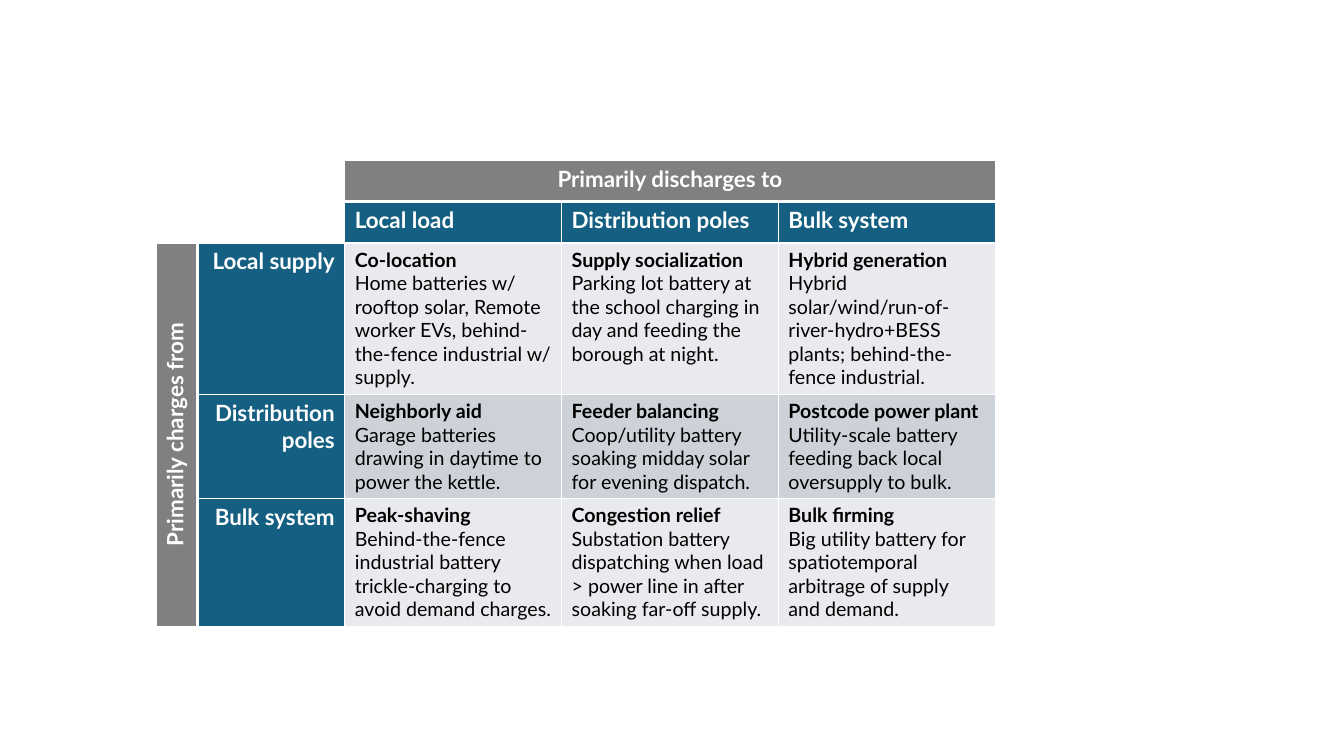
from dataclasses import dataclass
from lxml.etree import SubElement as Sub
from pptx import Presentation
from pptx.dml.color import RGBColor as Rgb
from pptx.enum.text import PP_ALIGN as Align
from pptx.oxml.ns import qn
from pptx.util import Inches, Pt


@dataclass(frozen=True)
class Theme:
    font: str = "Lato"
    white: str = "FFFFFF"
    black: str = "000000"
    gray: str = "808080"
    blue: str = "156082"
    bands: tuple = ("E8EAED", "CCD2D8")
    head: int = 16
    body: int = 14
    thin: float = 1
    thick: float = 2.25


THEME = Theme()
WIDTHS = [0.41, 1.46, 2.15, 2.15, 2.15]
HEIGHTS = [0.41, 0.41, 1.5, 1.03, 1.27]
SINKS = ["Local load", "Distribution poles", "Bulk system"]
SOURCES = ["Local supply", "Distribution poles", "Bulk system"]
USES = [
    [
        ("Co-location", "Home batteries w/ rooftop solar, Remote worker EVs, "
         "behind-the-fence industrial w/ supply."),
        ("Supply socialization", "Parking lot battery at the school charging in day "
         "and feeding the borough at night."),
        ("Hybrid generation", "Hybrid solar/wind/run-of-river-hydro+BESS plants; "
         "behind-the-fence industrial."),
    ],
    [
        ("Neighborly aid", "Garage batteries drawing in daytime to power the kettle."),
        ("Feeder balancing", "Coop/utility battery soaking midday solar for evening dispatch."),
        ("Postcode power plant", "Utility-scale battery feeding back local oversupply to bulk."),
    ],
    [
        ("Peak-shaving", "Behind-the-fence industrial battery trickle-charging "
         "to avoid demand charges."),
        ("Congestion relief", "Substation battery dispatching when load > power line in "
         "after soaking far-off supply."),
        ("Bulk firming", "Big utility battery for spatiotemporal arbitrage of supply and demand."),
    ],
]


def frame(cell, thick=""):
    props = cell._tc.get_or_add_tcPr()
    for side in "LRTB":
        width = THEME.thick if side in thick else THEME.thin
        line = Sub(props, qn(f"a:ln{side}"), w=str(Pt(width)))
        fill = Sub(line, qn("a:solidFill"))
        Sub(fill, qn("a:srgbClr"), val=THEME.white)


def paint(cell, color):
    cell.fill.solid()
    cell.fill.fore_color.rgb = Rgb.from_string(color)


def write(para, text, size, color, bold=True, align=Align.LEFT):
    para.alignment = align
    run = para.add_run()
    run.text = text
    run.font.name = THEME.font
    run.font.size = Pt(size)
    run.font.bold = bold
    run.font.color.rgb = Rgb.from_string(color)


def label(cell, text, color, align=Align.LEFT):
    paint(cell, color)
    write(cell.text_frame.paragraphs[0], text, THEME.head, THEME.white, align=align)


def detail(cell, title, text, color):
    paint(cell, color)
    body = cell.text_frame
    write(body.paragraphs[0], title, THEME.body, THEME.black)
    write(body.add_paragraph(), text, THEME.body, THEME.black, bold=False)


def edges(row, col):
    if col >= 2:
        return {0: "B", 1: "T"}.get(row, "")
    if row >= 2:
        return "R" if col == 0 else "L"
    return ""


def matrix(slide, left, top):
    size = Inches(sum(WIDTHS)), Inches(sum(HEIGHTS))
    grid = slide.shapes.add_table(
        len(HEIGHTS), len(WIDTHS), Inches(left), Inches(top), *size).table
    grid.first_row = grid.horz_banding = False
    for col, width in zip(grid.columns, WIDTHS):
        col.width = Inches(width)
    for row, height in zip(grid.rows, HEIGHTS):
        row.height = Inches(height)
    for row in range(len(HEIGHTS)):
        for col in range(len(WIDTHS)):
            cell = grid.cell(row, col)
            frame(cell, edges(row, col))
            cell.fill.background()

    sink = grid.cell(0, 2)
    sink.merge(grid.cell(0, 4))
    label(sink, "Primarily discharges to", THEME.gray, Align.CENTER)
    source = grid.cell(2, 0)
    source.merge(grid.cell(4, 0))
    label(source, "Primarily charges from", THEME.gray, Align.CENTER)
    source._tc.get_or_add_tcPr().set("vert", "vert270")

    for col, name in enumerate(SINKS, 2):
        label(grid.cell(1, col), name, THEME.blue)
    for row, (name, uses) in enumerate(zip(SOURCES, USES), 2):
        label(grid.cell(row, 1), name, THEME.blue, Align.RIGHT)
        for col, (title, text) in enumerate(uses, 2):
            detail(grid.cell(row, col), title, text, THEME.bands[row % 2])


def main():
    deck = Presentation()
    deck.slide_width, deck.slide_height = Inches(13.33), Inches(7.5)
    slide = deck.slides.add_slide(deck.slide_layouts[6])
    matrix(slide, 1.55, 1.59)
    deck.save("out.pptx")


if __name__ == "__main__":
    main()
